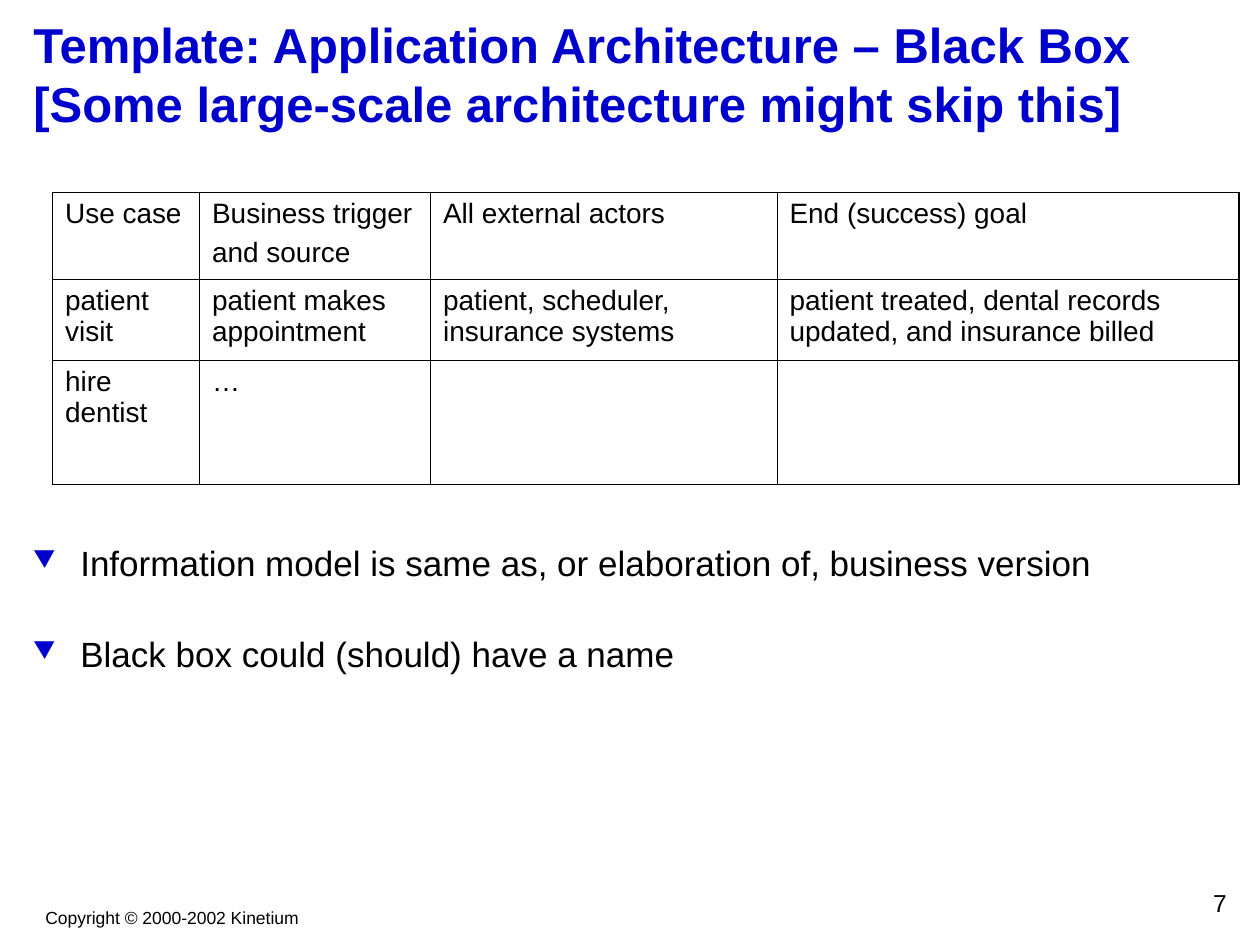
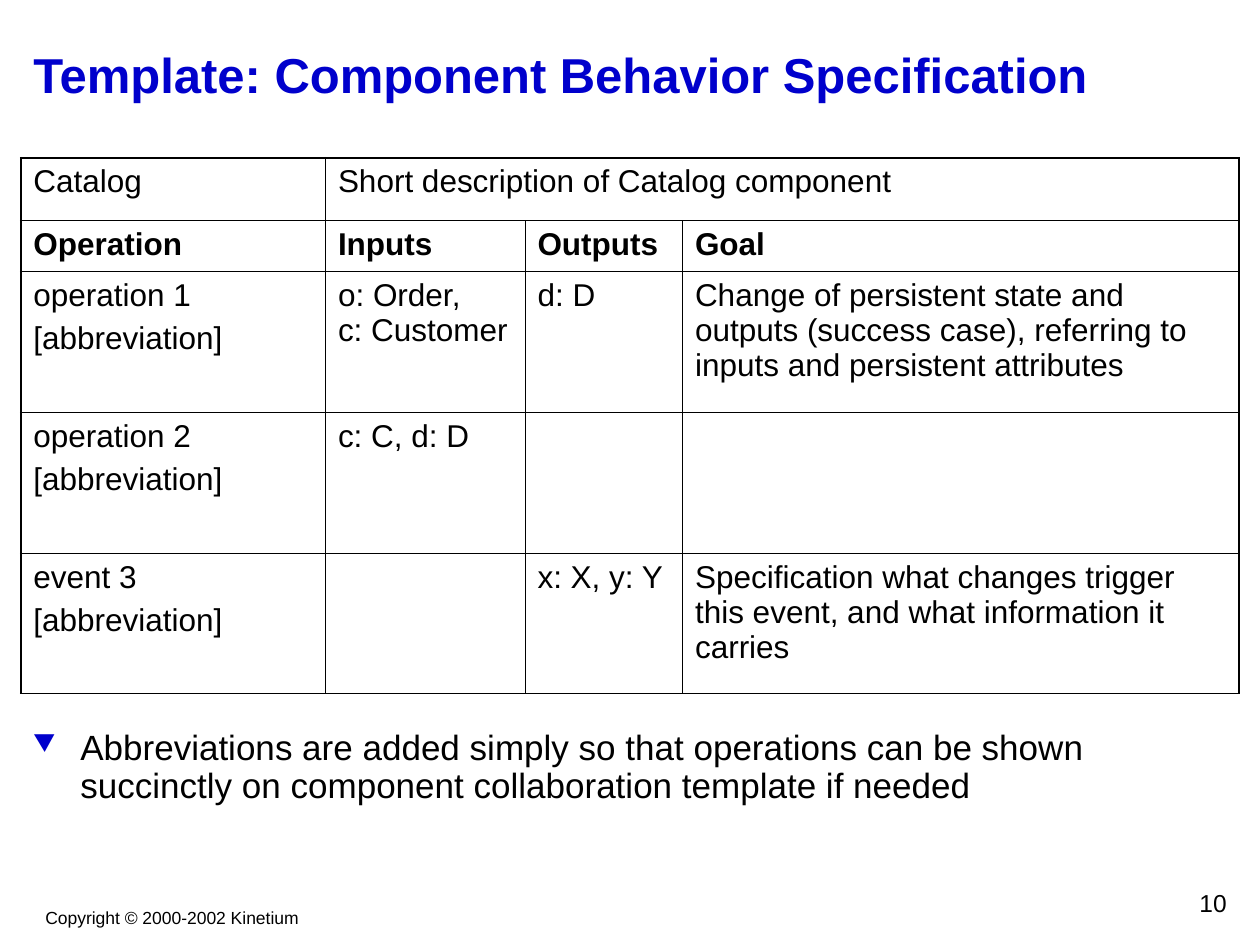
from lxml import etree
from pptx import Presentation
from pptx import util as u
from pptx.dml.color import RGBColor
from pptx.enum import text as t
from pptx.oxml import ns

BLUE = RGBColor(0x00, 0x00, 0xCC)
BLACK = RGBColor(0x00, 0x00, 0x00)
FONT = "Arial"
THIN, THICK = u.Pt(0.45), u.Pt(1.08)
COPYRIGHT = "Copyright © 2000-2002 Kinetium"

TITLE_BOX = (0.42, 0.42, 24.56, 2.12)
COPYRIGHT_BOX = (0.66, 18.16, 5.61, 0.69)
NUMBER_BOX = (19.69, 17.78, 5.29, 0.85)

USE_CASES = [
    ["Use case", "Business trigger\nand source", "All external actors", "End (success) goal"],
    ["patient visit", "patient makes appointment", "patient, scheduler, insurance systems",
     "patient treated, dental records updated, and insurance billed"],
    ["hire dentist", "…", "", ""],
]
OPERATIONS = [
    ["Catalog", "Short description of Catalog component", "", ""],
    ["Operation", "Inputs", "Outputs", "Goal"],
    ["operation 1\n[abbreviation]", "o: Order,\vc: Customer", "d: D",
     "Change of persistent state and outputs (success case), "
     "referring to inputs and persistent attributes"],
    ["operation 2\n[abbreviation]", "c: C, d: D", "", ""],
    ["event 3\n[abbreviation]", "", "x: X, y: Y",
     "Specification what changes trigger this event, and what information it carries"],
]


def set_values(target, values):
    """Set every attribute named in a dict of format values."""
    for name, value in values.items():
        setattr(target, name, value)


def to_lengths(box):
    """Turn a box in centimetres into lengths."""
    return [u.Cm(value) for value in box]


def write_text(frame, content, size, color=BLACK, bold=False, gap=0, bulleted=False, **layout):
    """Write paragraphs in one style, with a gap before all but the first."""
    frame.text = content
    for index, paragraph in enumerate(frame.paragraphs):
        if bulleted:
            add_bullet(paragraph)
        set_values(paragraph, {"space_before": u.Pt(gap if index else 0), **layout})
        set_values(paragraph.font, {"name": FONT, "size": u.Pt(size), "bold": bold})
        paragraph.font.color.rgb = color


def add_bullet(paragraph):
    """Hang a small blue triangle before a paragraph."""
    properties = paragraph._p.get_or_add_pPr()
    indent = u.Cm(0.95)
    properties.set("marL", str(indent))
    properties.set("indent", str(-indent))
    color = etree.SubElement(properties, ns.qn("a:buClr"))
    etree.SubElement(color, ns.qn("a:srgbClr"), val=str(BLUE))
    etree.SubElement(properties, ns.qn("a:buSzPct"), val="70000")
    etree.SubElement(properties, ns.qn("a:buChar"), char="▼")


def add_textbox(slide, box, content, size, wrap=True, **style):
    """Add a text box in the given box."""
    frame = slide.shapes.add_textbox(*to_lengths(box)).text_frame
    frame.word_wrap = wrap
    write_text(frame, content, size, **style)


def add_frame(presentation, title, number):
    """Add a slide with its title, copyright line and page number."""
    slide = presentation.slides.add_slide(presentation.slide_layouts.get_by_name("Title Only"))
    shape = slide.shapes.title
    set_values(shape, dict(zip(("left", "top", "width", "height"), to_lengths(TITLE_BOX))))
    set_values(shape.text_frame, {"vertical_anchor": t.MSO_ANCHOR.MIDDLE, "word_wrap": True,
                                  "auto_size": t.MSO_AUTO_SIZE.NONE})
    write_text(shape.text_frame, title, 28, color=BLUE, bold=True, alignment=t.PP_ALIGN.LEFT)
    add_textbox(slide, COPYRIGHT_BOX, COPYRIGHT, 10, wrap=False, alignment=t.PP_ALIGN.CENTER)
    add_textbox(slide, NUMBER_BOX, str(number), 14, alignment=t.PP_ALIGN.RIGHT)
    return slide


def add_borders(cell, outer_sides):
    """Rule a cell, with thick lines on the sides at the table's edge."""
    properties = cell._tc.get_or_add_tcPr()
    for side in "LRTB":
        width = THICK if side in outer_sides else THIN
        line = etree.SubElement(properties, ns.qn(f"a:ln{side}"), w=str(width))
        fill = etree.SubElement(line, ns.qn("a:solidFill"))
        etree.SubElement(fill, ns.qn("a:srgbClr"), val=str(BLACK))


def add_grid(slide, box, rows, column_shares, row_shares, size, bold_row=None, merged_row=None):
    """Fill a box with a ruled table sized by column and row shares."""
    left, top, width, height = to_lengths(box)
    last_row, last_column = len(rows) - 1, len(column_shares) - 1
    table = slide.shapes.add_table(len(rows), len(column_shares), left, top, width, height).table
    set_values(table, {"first_row": False, "horz_banding": False})
    for column, share in zip(table.columns, column_shares):
        column.width = int(width * share / sum(column_shares))
    for row, share in zip(table.rows, row_shares):
        row.height = int(height * share / sum(row_shares))
    if merged_row is not None:
        table.cell(merged_row, 1).merge(table.cell(merged_row, last_column))
    for row_index, row in enumerate(rows):
        for column_index, content in enumerate(row):
            cell = table.cell(row_index, column_index)
            if cell.is_spanned:
                continue
            end = column_index + (cell.span_width if cell.is_merge_origin else 1) - 1
            at_edge = {"L": column_index == 0, "R": end == last_column,
                       "T": row_index == 0, "B": row_index == last_row}
            add_borders(cell, [side for side, outer in at_edge.items() if outer])
            cell.fill.background()
            write_text(cell.text_frame, content, size, bold=row_index == bold_row, gap=size / 4)


def add_black_box_slide(presentation):
    """Build the slide on the application as a black box."""
    slide = add_frame(presentation, "Template: Application Architecture – Black Box\v"
                                    "[Some large-scale architecture might skip this]", 7)
    add_textbox(slide, (0.42, 10.8, 24.56, 4.02),
                "Information model is same as, or elaboration of, business version\n"
                "Black box could (should) have a name", 20, gap=28, bulleted=True)
    add_grid(slide, (1.06, 3.88, 23.92, 5.89), USE_CASES, (14, 22, 33, 44), (0.69, 0.64, 0.99), 16)


def add_behavior_slide(presentation):
    """Build the slide on component behavior."""
    slide = add_frame(presentation, "Template: Component Behavior Specification", 10)
    add_textbox(slide, (0.42, 14.6, 24.56, 1.9),
                "Abbreviations are added simply so that operations can be shown "
                "succinctly on component collaboration template if needed",
                20, bulleted=True, line_spacing=0.9)
    add_grid(slide, (0.42, 3.18, 24.56, 10.8), OPERATIONS, (29, 19, 15, 53),
             (0.5, 0.4, 1.12, 1.12, 1.11), 18, bold_row=1, merged_row=0)


def main():
    """Build and save the presentation."""
    presentation = Presentation()
    set_values(presentation, {"slide_width": u.Cm(25.4), "slide_height": u.Cm(19.05)})
    add_black_box_slide(presentation)
    add_behavior_slide(presentation)
    presentation.save("out.pptx")


if __name__ == "__main__":
    main()
